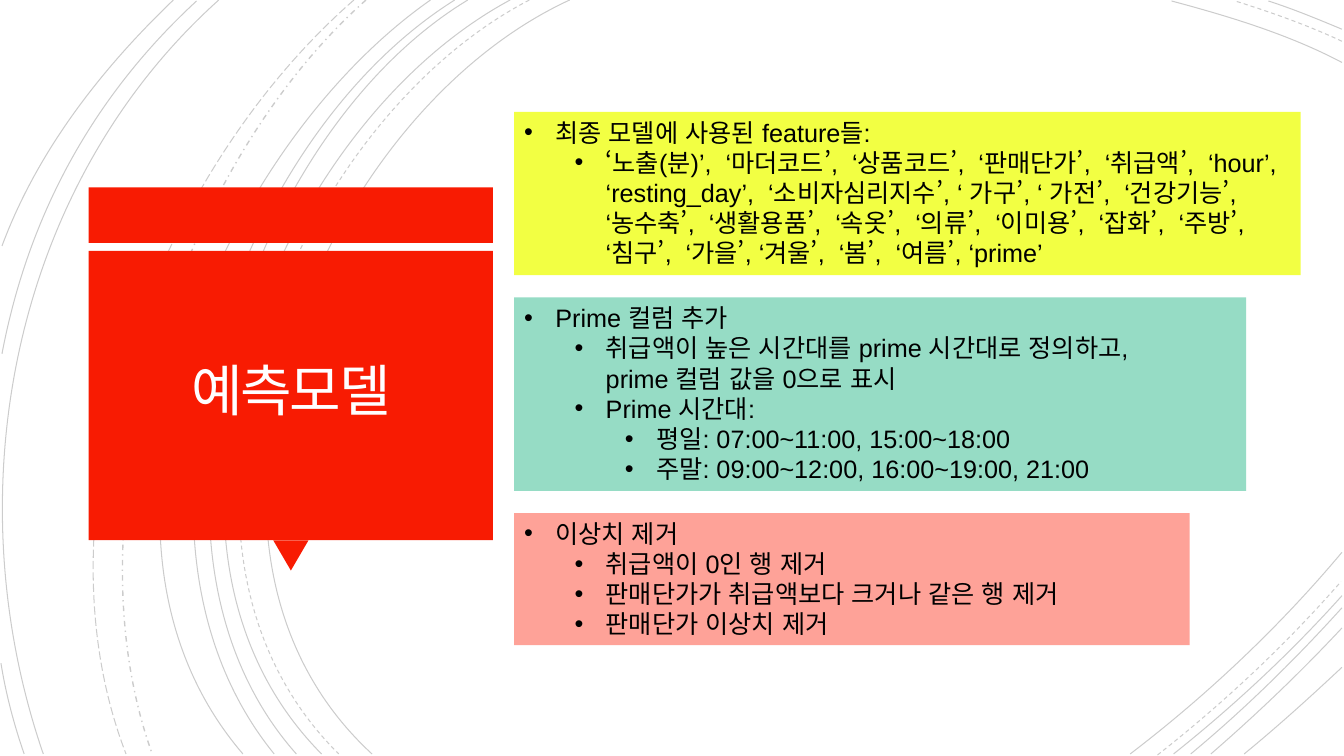
"""Build the prediction model slide: red title block, three note cards, thin background arcs."""
from lxml.etree import SubElement
from pptx import Presentation
from pptx.dml.color import RGBColor
from pptx.enum.dml import MSO_LINE_DASH_STYLE as Dash
from pptx.enum.lang import MSO_LANGUAGE_ID as Language
from pptx.enum.shapes import MSO_SHAPE as Preset
from pptx.enum.text import MSO_ANCHOR as Anchor, MSO_AUTO_SIZE as AutoSize, PP_ALIGN as Align
from pptx.oxml.ns import qn
from pptx.util import Inches, Pt

COLORS = {"red": "F81B02", "yellow": "F2FF43", "teal": "96DCC5", "pink": "FEA298",
          "black": "000000", "title": "FFFEFF"}
FONT = "Arial"
CELL = Inches(1)
COLUMNS, ROWS = 13.33, 7.5


def cells(*counts):
    return [round(count * CELL) for count in counts]


def add_block(preset, box, color):
    shape = slide.shapes.add_shape(preset, *cells(*box))
    shape.shadow.inherit = False
    shape.fill.solid()
    shape.fill.fore_color.rgb = RGBColor.from_string(COLORS[color])
    shape.line.fill.background()
    return shape


presentation = Presentation()
presentation.slide_width, presentation.slide_height = cells(COLUMNS, ROWS)
slide = presentation.slides.add_slide(presentation.slide_layouts[5])

arcs = {
    Dash.SOLID: [
        (5.65, 0, 3.15, 1.15, 1.43, 5.4, 3.69, 7.48),
        (13.31, 0.62, 12.78, 0.34, 12.18, 0.16, 11.62, 0.01),
        (11.21, 7.48, 11.97, 6.9, 12.69, 6.22, 13.31, 5.48),
        (5.06, 0, 2.7, 1.27, 1.1, 5.37, 3.19, 7.48),
        (13.31, 0.29, 13.07, 0.19, 12.83, 0.09, 12.58, 0.01),
        (11.64, 7.48, 12.23, 7.01, 12.8, 6.48, 13.31, 5.91),
        (4.64, 0, 2.44, 1.33, 1.1, 5.41, 2.94, 7.48),
        (11.81, 7.48, 12.34, 7.04, 12.84, 6.55, 13.31, 6.03),
        (4.51, 0, 2.31, 1.38, 0.97, 5.33, 2.72, 7.48),
        (12.01, 7.48, 12.46, 7.09, 12.9, 6.67, 13.31, 6.23),
        (4.27, 0, 2.17, 1.47, 0.53, 5.29, 2.41, 7.48),
        (12.34, 7.48, 12.67, 7.21, 12.99, 6.92, 13.31, 6.62),
        (2.17, 0, 0.11, 1.85, -0.46, 4.9, 0.43, 7.48),
        (1.95, 0.01, 0.92, 0.96, 0.28, 2.14, 0.02, 3.51),
        (0.01, 6.58, 0.06, 6.89, 0.14, 7.19, 0.24, 7.48),
        (1.72, 0, 1, 0.69, 0.37, 1.5, 0.02, 2.44),
    ],
    Dash.DASH: [
        (5.25, 0, 2.85, 1.25, 1.23, 5.37, 3.36, 7.48),
        (13.31, 0.41, 12.97, 0.25, 12.6, 0.12, 12.25, 0.01),
        (11.48, 7.49, 12.13, 6.98, 12.75, 6.4, 13.3, 5.77),
    ],
    Dash.DASH_DOT: [(3.63, 0, 1.76, 1.66, 0.65, 5.09, 1.51, 7.48)],
    Dash.LONG_DASH: [(3.51, 0, 1.57, 1.69, 0.29, 4.99, 1.25, 7.48)],
}
for dash, curves in arcs.items():
    for curve in curves:
        values = cells(*curve)
        start, *bends = zip(values[::2], values[1::2])
        builder = slide.shapes.build_freeform(*start)
        builder.add_line_segments(bends, close=False)
        arc = builder.convert_to_shape()
        arc.shadow.inherit = False
        arc.fill.background()
        arc.line.width = Pt(1 if dash == Dash.DASH_DOT else 0.75)
        arc.line.color.rgb = RGBColor.from_string(COLORS["black"])
        arc.line.dash_style = dash
        color_element = next(arc.element.spPr.find(qn("a:ln")).iter(qn("a:srgbClr")))
        SubElement(color_element, qn("a:alpha"), val="20000")
        outline = next(arc.element.iter(qn("a:path")))
        segments = outline.findall(qn("a:lnTo"))
        bezier = SubElement(outline, qn("a:cubicBezTo"))
        for segment in segments:
            bezier.append(segment[0])
            outline.remove(segment)

block_left, block_width, pointer_width = 0.88, 4.01, 0.35
pointer_left = block_left + (block_width - pointer_width) / 2
add_block(Preset.RECTANGLE, (block_left, 1.86, block_width, 0.55), "red")
pointer = add_block(Preset.ISOSCELES_TRIANGLE, (pointer_left, 5.36, pointer_width, 0.3), "red")
pointer.rotation = 180
add_block(Preset.RECTANGLE, (block_left, 2.49, block_width, 2.87), "red")

title = slide.shapes.title
title.left, title.top, title.width, title.height = cells(0.97, 2.57, 3.83, 2.69)
slide.shapes.element.append(title.element)
frame = title.text_frame
frame.word_wrap = True
frame.auto_size = AutoSize.NONE
frame.vertical_anchor = Anchor.MIDDLE
frame.margin_left = frame.margin_right = frame.margin_top = frame.margin_bottom = Inches(0.25)
paragraph = frame.paragraphs[0]
paragraph.alignment = Align.CENTER
paragraph.line_spacing = 0.85
run = paragraph.add_run()
run.text = "예측모델"
run.font.name, run.font.size = FONT, Pt(40)
run.font.language_id = Language.KOREAN
run.font.color.rgb = RGBColor.from_string(COLORS["title"])
run.font._element.set("spc", "-150")

cards = [
    ("yellow", 7.8, 1.62, [
        (0, ["최종 모델에 사용된 feature들:"]),
        (1, ["‘노출(분)’,  ‘마더코드’,  ‘상품코드’,  ‘판매단가’,  ‘취급액’,  "
             "‘hour’, ‘resting_day’,  ‘소비자심리지수’, ‘ 가구’, ‘ 가전’,  "
             "‘건강기능’, ‘농수축’,  ‘생활용품’,  ‘속옷’,  ‘의류’,  ‘이미용’,  "
             "‘잡화’,  ‘주방’,  ‘침구’,  ‘가을’, ‘겨울’,  ‘봄’,  ‘여름’, ‘prime’"]),
    ]),
    ("teal", 7.26, 1.92, [
        (0, ["Prime 컬럼 추가"]),
        (1, ["취급액이 높은 시간대를 prime 시간대로 정의하고, ", "prime 컬럼 값을 0으로 표시"]),
        (1, ["Prime 시간대:"]),
        (2, ["평일: 07:00~11:00, 15:00~18:00"]),
        (2, ["주말: 09:00~12:00, 16:00~19:00, 21:00"]),
    ]),
    ("pink", 6.7, 1.31, [
        (0, ["이상치 제거"]),
        (1, ["취급액이 0인 행 제거"]),
        (1, ["판매단가가 취급액보다 크거나 같은 행 제거"]),
        (1, ["판매단가 이상치 제거"]),
    ]),
]
card_left, card_top, card_gap = 5.1, 1.11, 0.22
hanging, level_step = 0.31, 0.5
for color, width, height, items in cards:
    card = add_block(Preset.RECTANGLE, (card_left, card_top, width, height), color)
    card_top += height + card_gap
    frame = card.text_frame
    frame.word_wrap = True
    frame.auto_size = AutoSize.SHAPE_TO_FIT_TEXT
    frame.vertical_anchor = Anchor.TOP
    for index, (level, lines) in enumerate(items):
        paragraph = frame.add_paragraph() if index else frame.paragraphs[0]
        paragraph.alignment = Align.LEFT
        paragraph.level = level
        properties = paragraph._p.get_or_add_pPr()
        properties.set("marL", str(Inches(hanging + level * level_step)))
        properties.set("indent", str(-Inches(hanging)))
        SubElement(properties, qn("a:buFont"), typeface=FONT)
        SubElement(properties, qn("a:buChar"), char="•")
        for line_index, line in enumerate(lines):
            if line_index:
                paragraph.add_line_break()
            run = paragraph.add_run()
            run.text = line
            run.font.name, run.font.size = FONT, Pt(18)
            run.font.language_id = Language.KOREAN
            run.font.color.rgb = RGBColor.from_string(COLORS["black"])

presentation.save("out.pptx")
